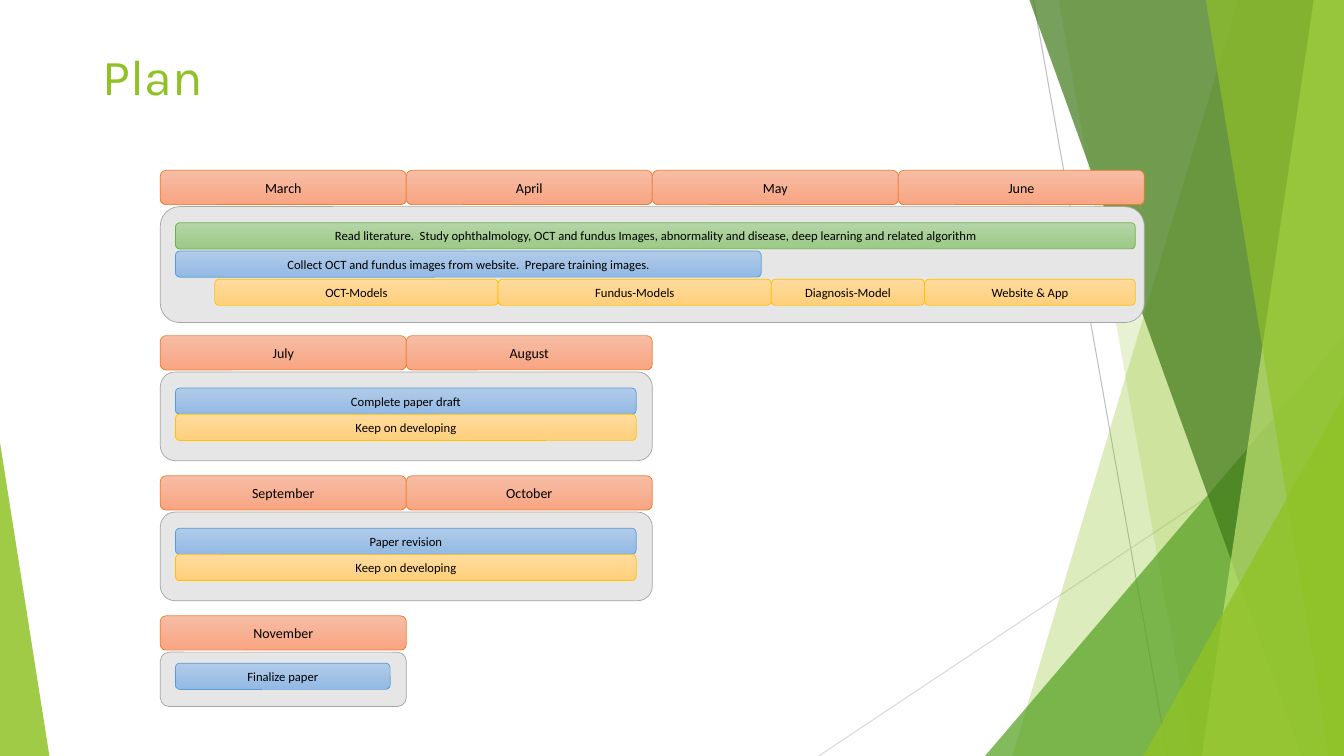
from lxml import etree
from pptx import Presentation
from pptx.dml.color import RGBColor
from pptx.enum import shapes, text
from pptx.oxml.ns import qn
from pptx.util import Inches, Pt

LIME = RGBColor(0x90, 0xC2, 0x26)
GREEN = RGBColor(0x54, 0xA0, 0x21)
FOREST = RGBColor(0x3F, 0x78, 0x19)
PALE_LIME = RGBColor(0xC0, 0xE4, 0x74)
GREY_LINE = RGBColor(0xBF, 0xBF, 0xBF)
LIGHT_LINE = RGBColor(0xD9, 0xD9, 0xD9)
PANEL_FILL = RGBColor(0xE7, 0xE6, 0xE6)
PANEL_LINE = RGBColor(0xA5, 0xA5, 0xA5)
BLACK = RGBColor(0, 0, 0)

# Gradient top, gradient bottom, outline
MONTH = RGBColor(0xF7, 0xBD, 0xA5), RGBColor(0xF8, 0xA5, 0x82), RGBColor(0xED, 0x7D, 0x31)
STUDY = RGBColor(0xB5, 0xD5, 0xA7), RGBColor(0x9C, 0xC9, 0x87), RGBColor(0x70, 0xAD, 0x47)
PAPER = RGBColor(0xB1, 0xCB, 0xE9), RGBColor(0x93, 0xB9, 0xE4), RGBColor(0x5B, 0x9B, 0xD5)
BUILD = RGBColor(0xFF, 0xDB, 0x9E), RGBColor(0xFF, 0xD0, 0x7C), RGBColor(0xFF, 0xC0, 0x00)

SLIDE_W, SLIDE_H = 13.33, 7.5
PLAN_LEFT = 1.59
MONTH_W, MONTH_H = 2.44, 0.34
PANEL_DROP = 0.36
TASK_H = 0.26

# Month row top, months, panel height, first task row, row pitch, tasks;
# each task: row, offset from the panel, width, label, palette
PERIODS = [
    (1.69, ["March", "April", "May", "June"], 1.15, 0.16, 0.28, [
        (0, 0.15, 9.52, "Read literature.  Study ophthalmology, OCT and fundus Images, "
                        "abnormality and disease, deep learning and related algorithm", STUDY),
        (1, 0.15, 5.81, "Collect OCT and fundus images from website.  "
                        "Prepare training images.", PAPER),
        (2, 0.54, 2.81, "OCT-Models", BUILD),
        (2, 3.35, 2.71, "Fundus-Models", BUILD),
        (2, 6.06, 1.52, "Diagnosis-Model", BUILD),
        (2, 7.58, 2.09, "Website & App", BUILD)]),
    (3.33, ["July", "August"], 0.88, 0.16, 0.26, [
        (0, 0.15, 4.57, "Complete paper draft", PAPER),
        (1, 0.15, 4.57, "Keep on developing", BUILD)]),
    (4.72, ["September", "October"], 0.88, 0.16, 0.26, [
        (0, 0.15, 4.57, "Paper revision", PAPER),
        (1, 0.15, 4.57, "Keep on developing", BUILD)]),
    (6.11, ["November"], 0.54, 0.11, 0.26, [
        (0, 0.15, 2.13, "Finalize paper", PAPER)]),
]


def set_glass(shape, color, percent):
    """Fill with a see-through colour of the given opacity, without outline."""
    shape.shadow.inherit = False
    shape.line.fill.background()
    shape.fill.solid()
    shape.fill.fore_color.rgb = color
    srgb = shape.fill._xPr.find(".//" + qn("a:srgbClr"))
    etree.SubElement(srgb, qn("a:alpha")).set("val", str(percent * 1000))


def add_ray(slide, start, end, color):
    ray = slide.shapes.add_connector(
        shapes.MSO_CONNECTOR.STRAIGHT, *(Inches(v) for v in start + end))
    ray.line.color.rgb = color
    ray.line.width = Pt(0.75)
    etree.SubElement(ray._element.spPr, qn("a:effectLst"))


def add_shard(slide, top_x, bottom_x, color, percent):
    """A full-height pane from a slanted left edge to the right slide edge."""
    corners = [(top_x, 0), (SLIDE_W, 0), (SLIDE_W, SLIDE_H), (bottom_x, SLIDE_H)]
    points = [(Inches(x), Inches(y)) for x, y in corners]
    builder = slide.shapes.build_freeform(*points[0])
    builder.add_line_segments(points[1:], close=True)
    set_glass(builder.convert_to_shape(), color, percent)


def add_corner(slide, left, width, height, apex, color, percent):
    """A triangle on the bottom edge; apex runs from 0 (left) to 1 (right)."""
    corner = slide.shapes.add_shape(
        shapes.MSO_SHAPE.ISOSCELES_TRIANGLE, Inches(left), Inches(SLIDE_H - height),
        Inches(width), Inches(height))
    corner.adjustments[0] = apex
    set_glass(corner, color, percent)


def add_backdrop(slide):
    add_ray(slide, (10.25, 0), (11.58, SLIDE_H), GREY_LINE)
    add_ray(slide, (SLIDE_W, 4.03), (8.12, SLIDE_H), LIGHT_LINE)
    add_shard(slide, 12.28, 10.04, LIME, 30)
    add_shard(slide, 10.5, 11.83, LIME, 20)
    add_corner(slide, 9.77, 3.56, 4.17, 1, GREEN, 72)
    add_shard(slide, 10.21, 12.91, FOREST, 70)
    add_shard(slide, 13.03, 11.92, PALE_LIME, 70)
    add_shard(slide, 11.96, 13.18, LIME, 65)
    add_corner(slide, 11.34, 1.99, 3.57, 1, LIME, 80)
    add_corner(slide, 0, 0.49, 3.11, 0, LIME, 85)


def add_title(slide, left, top, width, height):
    title = slide.shapes.title
    title.left, title.top = Inches(left), Inches(top)
    title.width, title.height = Inches(width), Inches(height)
    frame = title.text_frame
    frame.text = "Plan"
    frame.vertical_anchor = text.MSO_ANCHOR.TOP
    heading = frame.paragraphs[0]
    heading.alignment = text.PP_ALIGN.LEFT
    heading.font.name = "Karla"
    heading.font.size = Pt(36)
    heading.font.color.rgb = LIME


def add_block(slide, kind, left, top, width, height, outline):
    block = slide.shapes.add_shape(
        kind, Inches(left), Inches(top), Inches(width), Inches(height))
    block.shadow.inherit = False
    block.line.color.rgb = outline
    block.line.width = Pt(0.5)
    return block


def add_bar(slide, left, top, width, height, label, palette, size):
    upper, lower, outline = palette
    bar = add_block(slide, shapes.MSO_SHAPE.ROUNDED_RECTANGLE,
                    left, top, width, height, outline)
    bar.fill.gradient()
    bar.fill.gradient_angle = 270
    for stop, color in zip(bar.fill.gradient_stops, (upper, lower)):
        stop.color.rgb = color
    frame = bar.text_frame
    frame.margin_top = frame.margin_bottom = 0
    frame.vertical_anchor = text.MSO_ANCHOR.MIDDLE
    frame.text = label
    caption = frame.paragraphs[0]
    caption.alignment = text.PP_ALIGN.CENTER
    caption.font.name = "Calibri"
    caption.font.size = Pt(size)
    caption.font.color.rgb = BLACK


def add_period(slide, left, top, months, panel_h, first_row, pitch, tasks):
    """A row of month headers above a panel that holds the task bars."""
    panel_top = top + PANEL_DROP
    panel = add_block(slide, shapes.MSO_SHAPE.FLOWCHART_ALTERNATE_PROCESS,
                      left, panel_top, MONTH_W * len(months), panel_h, PANEL_LINE)
    panel.fill.solid()
    panel.fill.fore_color.rgb = PANEL_FILL
    for column, month in enumerate(months):
        add_bar(slide, left + column * MONTH_W, top, MONTH_W, MONTH_H, month, MONTH, 10)
    for row, offset, width, label, palette in tasks:
        add_bar(slide, left + offset, panel_top + first_row + row * pitch,
                width, TASK_H, label, palette, 9)


def main():
    deck = Presentation()
    deck.slide_width, deck.slide_height = Inches(SLIDE_W), Inches(SLIDE_H)
    slide = deck.slides.add_slide(deck.slide_layouts.get_by_name("Title Only"))
    add_backdrop(slide)
    add_title(slide, 0.92, 0.4, 11.5, 1.34)
    for period in PERIODS:
        add_period(slide, PLAN_LEFT, *period)
    deck.save("out.pptx")


if __name__ == "__main__":
    main()
